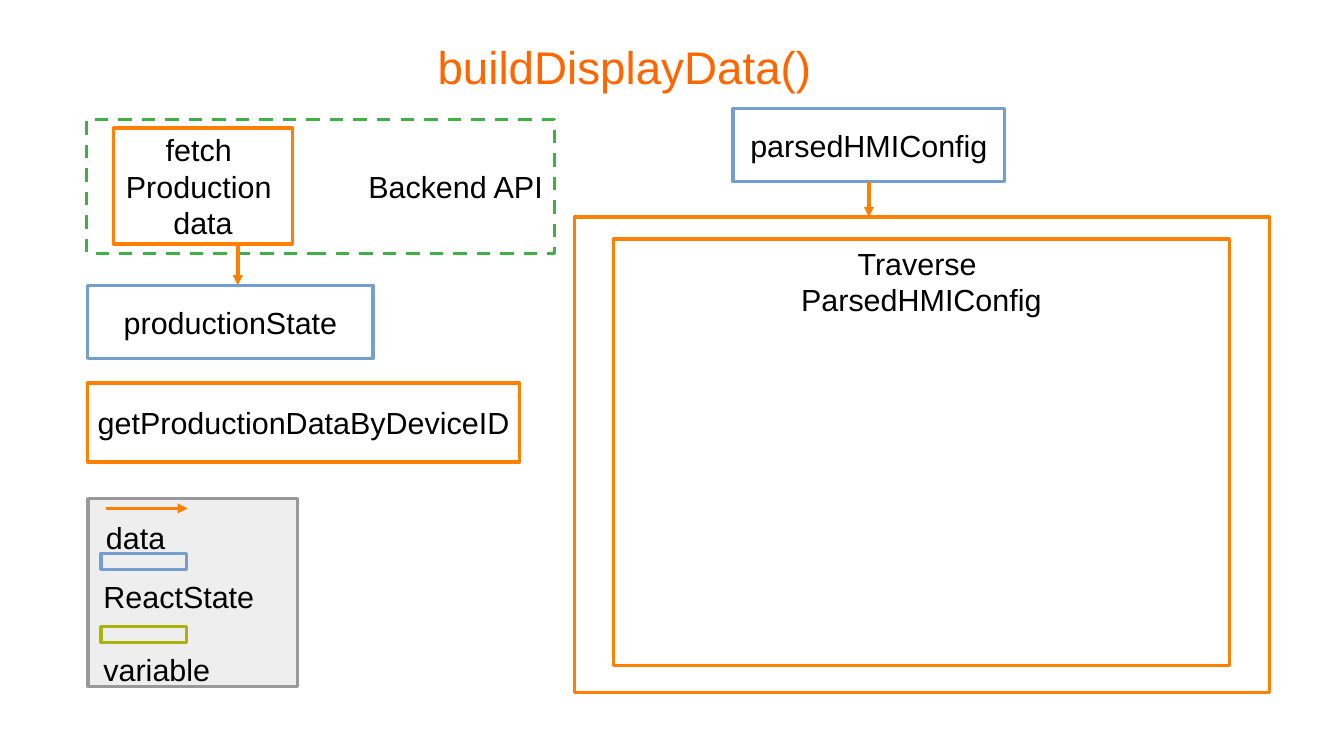
from lxml.etree import SubElement
from pptx import Presentation
from pptx.dml.color import RGBColor
from pptx.enum.dml import MSO_LINE
from pptx.enum.shapes import MSO_CONNECTOR, MSO_SHAPE
from pptx.enum.text import MSO_ANCHOR, PP_ALIGN
from pptx.oxml.ns import qn
from pptx.util import Inches, Pt

COLORS = {
    "title": "FF6600", "function": "FF8000", "state": "729FCF", "variable": "ACB20C",
    "backend": "3FAF46", "legend": "999999", "legend fill": "EEEEEE",
    "paper": "FFFFFF", "text": "000000",
}
COLUMNS, ROWS = 1102, 620
CELL = Inches(0.01)
FONT = "Arial"
LINE_WIDTH = Pt(1.98)

TITLE = ("buildDisplayData()", (59, 20, 906, 69))
BACKEND_BOXES = [
    ("backend", (71, 98, 384, 110), ["Backend API"], PP_ALIGN.RIGHT, MSO_ANCHOR.MIDDLE),
    ("function", (93, 105, 147, 95), ["fetch ", "Production ", "data"], PP_ALIGN.CENTER, MSO_ANCHOR.MIDDLE),
]
FLOW_BOXES = [
    ("state", (601, 89, 223, 60), ["parsedHMIConfig"], PP_ALIGN.CENTER, MSO_ANCHOR.MIDDLE),
    ("function", (471, 178, 570, 390), [], PP_ALIGN.CENTER, MSO_ANCHOR.MIDDLE),
    ("function", (503, 196, 505, 350), ["Traverse ", "ParsedHMIConfig"], PP_ALIGN.CENTER, MSO_ANCHOR.TOP),
    ("state", (72, 234, 234, 60), ["productionState"], PP_ALIGN.CENTER, MSO_ANCHOR.MIDDLE),
    ("function", (72, 314, 354, 65), ["getProductionDataByDeviceID"], PP_ALIGN.CENTER, MSO_ANCHOR.MIDDLE),
]
FETCH_ARROW = (195, 200, 195, 234)
LEGEND_PANEL = (72, 409, 172, 154)
LEGEND_ARROW = (87, 417, 154, 417)
LEGEND_ARROW_LABEL = ("data", (77, 421, 75, 41))
LEGEND_SWATCHES = [("state", "ReactState"), ("variable", "variable")]
SWATCH_TOP, SWATCH_PITCH, LABEL_DROP = 454, 60, 15


def color(name):
    return RGBColor.from_string(COLORS[name])


def cells(values):
    return [value * CELL for value in values]


def write(shape, lines, align, anchor, size=18, text_color="text", wrap=False):
    frame = shape.text_frame
    frame.word_wrap = wrap
    frame.vertical_anchor = anchor
    for index, line in enumerate(lines):
        paragraph = frame.add_paragraph() if index else frame.paragraphs[0]
        paragraph.alignment = align
        run = paragraph.add_run()
        run.text = line
        run.font.name = FONT
        run.font.size = Pt(size)
        run.font.color.rgb = color(text_color)


def add_box(shapes, area, outline, fill="paper"):
    shape = shapes.add_shape(MSO_SHAPE.RECTANGLE, *cells(area))
    shape.shadow.inherit = False
    if fill:
        shape.fill.solid()
        shape.fill.fore_color.rgb = color(fill)
    else:
        shape.fill.background()
    shape.line.color.rgb = color(outline)
    shape.line.width = LINE_WIDTH
    if outline == "backend":
        shape.line.dash_style = MSO_LINE.DASH
    return shape


def add_boxes(shapes, boxes):
    drawn = []
    for kind, area, lines, align, anchor in boxes:
        shape = add_box(shapes, area, kind)
        write(shape, lines, align, anchor)
        drawn.append(shape)
    return drawn


def add_label(shapes, text, area):
    write(shapes.add_textbox(*cells(area)), [text], PP_ALIGN.LEFT, MSO_ANCHOR.TOP)


def add_arrow(shapes, ends):
    arrow = shapes.add_connector(MSO_CONNECTOR.STRAIGHT, *ends)
    arrow.line.color.rgb = color("function")
    arrow.line.width = LINE_WIDTH
    SubElement(arrow.line._get_or_add_ln(), qn("a:tailEnd"), type="triangle")
    SubElement(arrow._element.spPr, qn("a:effectLst"))
    return arrow


def add_title(shapes):
    text, area = TITLE
    title = shapes.add_textbox(*cells(area))
    frame = title.text_frame
    frame.margin_left = frame.margin_right = frame.margin_top = frame.margin_bottom = 0
    write(title, [text], PP_ALIGN.CENTER, MSO_ANCHOR.MIDDLE, 27, "title", True)


def add_legend(shapes):
    add_box(shapes, LEGEND_PANEL, "legend", "legend fill")
    add_arrow(shapes, cells(LEGEND_ARROW))
    add_label(shapes, *LEGEND_ARROW_LABEL)
    for index, (kind, text) in enumerate(LEGEND_SWATCHES):
        top = SWATCH_TOP + index * SWATCH_PITCH
        add_box(shapes, (83, top, 70, 13), kind, None)
        add_label(shapes, text, (75, top + LABEL_DROP, 157, 41))


def main():
    presentation = Presentation()
    presentation.slide_width, presentation.slide_height = COLUMNS * CELL, ROWS * CELL
    slide = presentation.slides.add_slide(presentation.slide_layouts[6])
    shapes = slide.shapes
    add_title(shapes)
    add_boxes(shapes.add_group_shape().shapes, BACKEND_BOXES)
    config, panel, *_ = add_boxes(shapes, FLOW_BOXES)
    add_legend(shapes.add_group_shape().shapes)
    add_arrow(shapes, cells(FETCH_ARROW))
    middle = config.left + config.width // 2
    config_arrow = add_arrow(shapes, (middle, config.top + config.height, middle, panel.top))
    config_arrow.begin_connect(config, 2)
    presentation.save("out.pptx")


if __name__ == "__main__":
    main()
